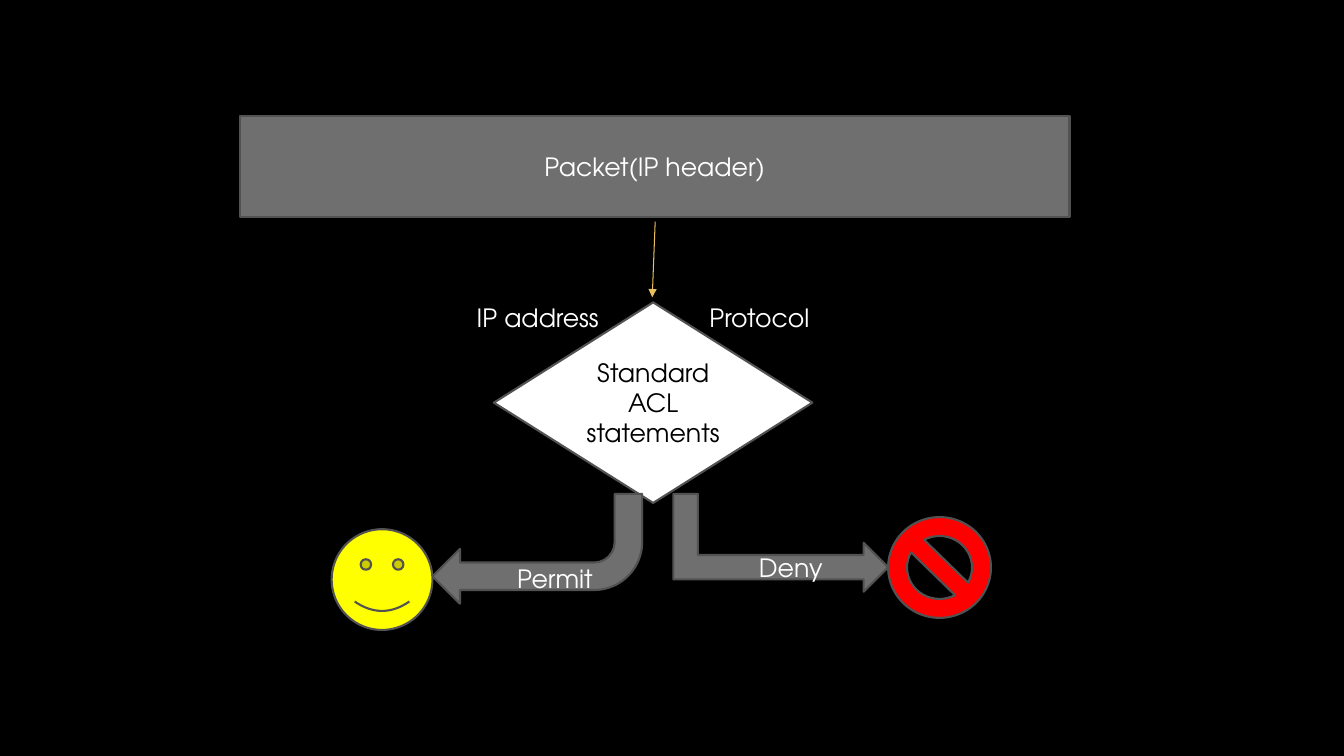
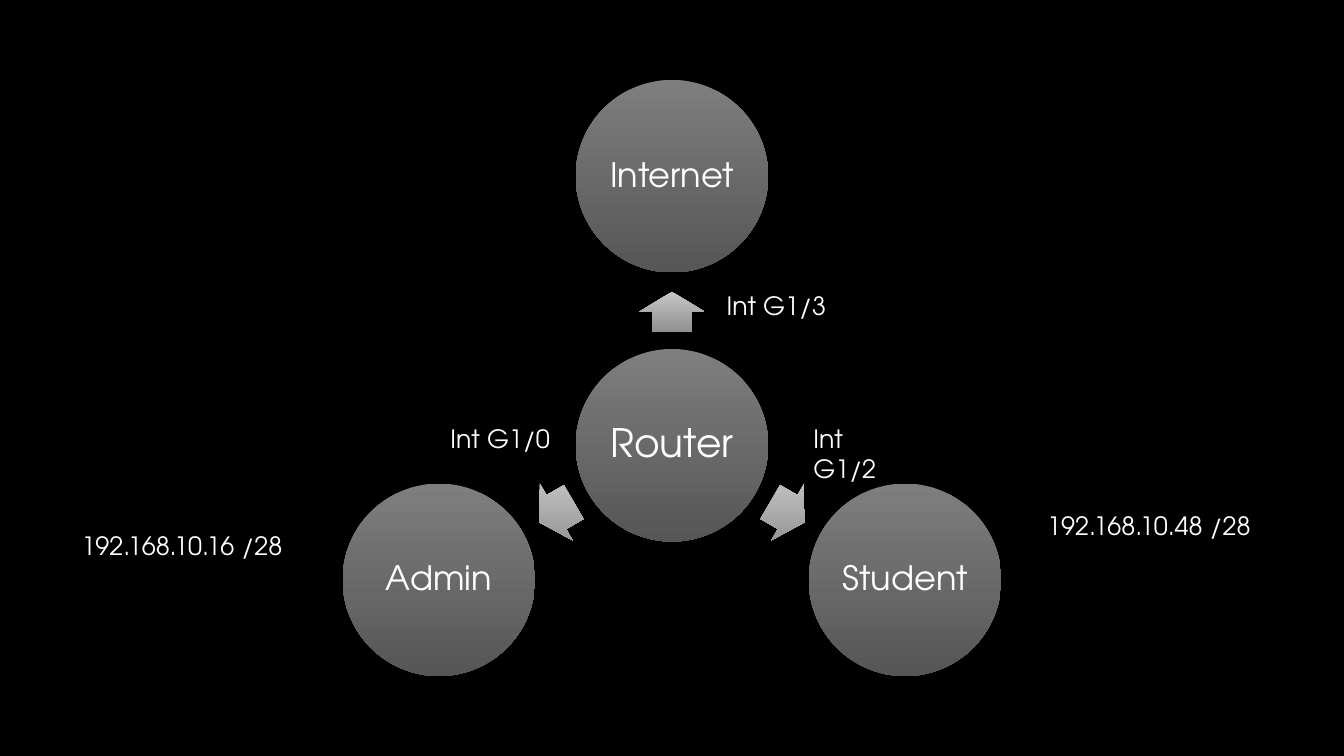
from dataclasses import dataclass
from math import cos, radians, sin

from lxml.etree import SubElement
from pptx import Presentation
from pptx.dml.color import RGBColor
from pptx.enum.shapes import MSO_CONNECTOR, MSO_SHAPE
from pptx.enum.text import MSO_ANCHOR, PP_ALIGN
from pptx.oxml.ns import qn
from pptx.shapes.autoshape import Shape
from pptx.slide import Slide
from pptx.text.text import TextFrame
from pptx.util import Emu, Inches, Pt

SLIDE_WIDTH = Inches(13.333)
SLIDE_HEIGHT = Inches(7.5)
COLUMN = SLIDE_WIDTH / 100
ROW = SLIDE_HEIGHT / 100
COLUMNS_PER_ROW = ROW / COLUMN
BLANK_LAYOUT = 6

FONT = "TeX Gyre Adventor"
BODY_SIZE = 18
LABEL_HEIGHT = 5.33

BLACK = RGBColor(0x00, 0x00, 0x00)
WHITE = RGBColor(0xFF, 0xFF, 0xFF)
GRAY = RGBColor(0x6F, 0x6F, 0x6F)
OUTLINE = RGBColor(0x52, 0x52, 0x52)
GOLD = RGBColor(0xE7, 0xBF, 0x5F)
YELLOW = RGBColor(0xFF, 0xFF, 0x00)
RED = RGBColor(0xFF, 0x00, 0x00)
NODE_GRADIENT = (RGBColor(0x7E, 0x7E, 0x7E), RGBColor(0x56, 0x56, 0x56))
ARROW_GRADIENT = (RGBColor(0xC6, 0xC6, 0xC6), RGBColor(0x91, 0x91, 0x91))

HUB_COLUMN = 50
HUB_ROW = 58.9
NODE_DIAMETER = 25.47
NODE_ORBIT = 35.6
ARROW_LENGTH = 5.33
ARROW_BREADTH = 8.67
ARROW_ORBIT = 17.67


@dataclass(frozen=True)
class Box:
    left: float
    top: float
    width: float
    height: float

    def lengths(self) -> tuple[Emu, Emu, Emu, Emu]:
        return (
            Emu(round(self.left * COLUMN)),
            Emu(round(self.top * ROW)),
            Emu(round(self.width * COLUMN)),
            Emu(round(self.height * ROW)),
        )


@dataclass(frozen=True)
class Label:
    text: str
    left: float
    top: float
    width: float


@dataclass(frozen=True)
class FlowShape:
    kind: MSO_SHAPE
    box: Box
    fill: RGBColor
    text: str = ""
    text_color: RGBColor = WHITE
    rotation: float = 0


@dataclass(frozen=True)
class Branch:
    name: str
    angle: float


FLOW_SHAPES = (
    FlowShape(MSO_SHAPE.RECTANGLE, Box(17.85, 15.33, 61.73, 13.33), GRAY, "Packet(IP header)"),
    FlowShape(MSO_SHAPE.DIAMOND, Box(36.75, 40, 23.7, 26.53), WHITE, "Standard ACL statements", BLACK),
    FlowShape(MSO_SHAPE.SMILEY_FACE, Box(24.68, 70, 7.5, 13.33), YELLOW),
    FlowShape(MSO_SHAPE.NO_SYMBOL, Box(66.08, 68.4, 7.65, 13.33), RED),
    FlowShape(MSO_SHAPE.BENT_ARROW, Box(32.18, 65.33, 15.6, 14.53), GRAY, rotation=180),
    FlowShape(MSO_SHAPE.BENT_UP_ARROW, Box(54.45, 57.6, 7.28, 28.4), GRAY, rotation=90),
)
FLOW_LABELS = (
    Label("Protocol", 52.05, 39.33, 12.68),
    Label("IP address", 34.73, 39.33, 12.08),
    Label("Permit", 37.73, 73.87, 9.9),
    Label("Deny", 55.73, 72.4, 10.35),
)
PACKET_PATH = Box(48.75, 29.33, -0.22, 10)

BRANCHES = (Branch("Internet", 270), Branch("Student", 30), Branch("Admin", 150))
NETWORK_LABELS = (
    Label("192.168.10.16 /28", 5.33, 69.47, 18.83),
    Label("192.168.10.48 /28", 77.18, 66.8, 17.4),
    Label("Int G1/0", 32.78, 55.33, 9.15),
    Label("Int G1/2", 59.78, 55.33, 8.85),
    Label("Int G1/3", 53.33, 37.73, 11.93),
)


def write_text(
    frame: TextFrame,
    text: str,
    size: float = BODY_SIZE,
    color: RGBColor = WHITE,
    alignment: PP_ALIGN = PP_ALIGN.LEFT,
) -> None:
    frame.word_wrap = True
    paragraph = frame.paragraphs[0]
    paragraph.text = text
    paragraph.alignment = alignment
    paragraph.font.name = FONT
    paragraph.font.size = Pt(size)
    paragraph.font.color.rgb = color


def add_labels(slide: Slide, labels: tuple[Label, ...]) -> None:
    for label in labels:
        box = Box(label.left, label.top, label.width, LABEL_HEIGHT)
        write_text(slide.shapes.add_textbox(*box.lengths()).text_frame, label.text)


def add_plain_shape(slide: Slide, kind: MSO_SHAPE, box: Box, rotation: float = 0) -> Shape:
    shape = slide.shapes.add_shape(kind, *box.lengths())
    shape.shadow.inherit = False
    shape.rotation = rotation
    return shape


def add_flow_shape(slide: Slide, item: FlowShape) -> None:
    shape = add_plain_shape(slide, item.kind, item.box, item.rotation)
    shape.fill.solid()
    shape.fill.fore_color.rgb = item.fill
    shape.line.color.rgb = OUTLINE
    shape.line.width = Pt(1.5)
    if item.text:
        shape.text_frame.vertical_anchor = MSO_ANCHOR.MIDDLE
        write_text(shape.text_frame, item.text, color=item.text_color, alignment=PP_ALIGN.CENTER)


def add_arrow_line(slide: Slide, box: Box) -> None:
    left, top, width, height = box.lengths()
    connector = slide.shapes.add_connector(
        MSO_CONNECTOR.STRAIGHT, left, top, left + width, top + height
    )
    connector.line.color.rgb = GOLD
    connector.line.width = Pt(0.75)
    properties = connector._element.spPr
    SubElement(properties.find(qn("a:ln")), qn("a:tailEnd"), type="triangle")
    SubElement(properties, qn("a:effectLst"))


def paint_gradient(shape: Shape, colors: tuple[RGBColor, RGBColor]) -> None:
    shape.line.fill.background()
    shape.fill.gradient()
    shape.fill.gradient_angle = 270
    for stop, color in zip(shape.fill.gradient_stops, colors):
        stop.color.rgb = color
    shape._element.spPr.find(qn("a:gradFill")).set("rotWithShape", "0")


def orbit_box(orbit: float, angle: float, width: float, height: float) -> Box:
    column = HUB_COLUMN + orbit * cos(radians(angle)) * COLUMNS_PER_ROW
    row = HUB_ROW + orbit * sin(radians(angle))
    columns = width * COLUMNS_PER_ROW
    return Box(column - columns / 2, row - height / 2, columns, height)


def add_node(slide: Slide, name: str, size: float, orbit: float = 0, angle: float = 0) -> None:
    box = orbit_box(orbit, angle, NODE_DIAMETER, NODE_DIAMETER)
    node = add_plain_shape(slide, MSO_SHAPE.OVAL, box)
    paint_gradient(node, NODE_GRADIENT)
    frame = node.text_frame
    frame.margin_left = frame.margin_right = Inches(0.03)
    frame.margin_top = frame.margin_bottom = Inches(0.03)
    frame.vertical_anchor = MSO_ANCHOR.MIDDLE
    write_text(frame, name, size, alignment=PP_ALIGN.CENTER)
    frame.paragraphs[0].line_spacing = 0.9


def add_branch(slide: Slide, branch: Branch) -> None:
    box = orbit_box(ARROW_ORBIT, branch.angle, ARROW_LENGTH, ARROW_BREADTH)
    arrow = add_plain_shape(slide, MSO_SHAPE.RIGHT_ARROW, box, branch.angle)
    arrow.adjustments[0] = 0.6
    arrow.adjustments[1] = 0.5
    paint_gradient(arrow, ARROW_GRADIENT)
    add_node(slide, branch.name, 24, NODE_ORBIT, branch.angle)


def build_packet_flow(slide: Slide) -> None:
    for item in FLOW_SHAPES:
        add_flow_shape(slide, item)
    add_arrow_line(slide, PACKET_PATH)
    add_labels(slide, FLOW_LABELS)


def build_network(slide: Slide) -> None:
    add_node(slide, "Router", 28)
    for branch in BRANCHES:
        add_branch(slide, branch)
    add_labels(slide, NETWORK_LABELS)


def main() -> None:
    presentation = Presentation()
    presentation.slide_width = SLIDE_WIDTH
    presentation.slide_height = SLIDE_HEIGHT
    background = presentation.slide_master.background.fill
    background.solid()
    background.fore_color.rgb = BLACK
    layout = presentation.slide_layouts[BLANK_LAYOUT]
    for build in (build_packet_flow, build_network):
        build(presentation.slides.add_slide(layout))
    presentation.save("out.pptx")


if __name__ == "__main__":
    main()
